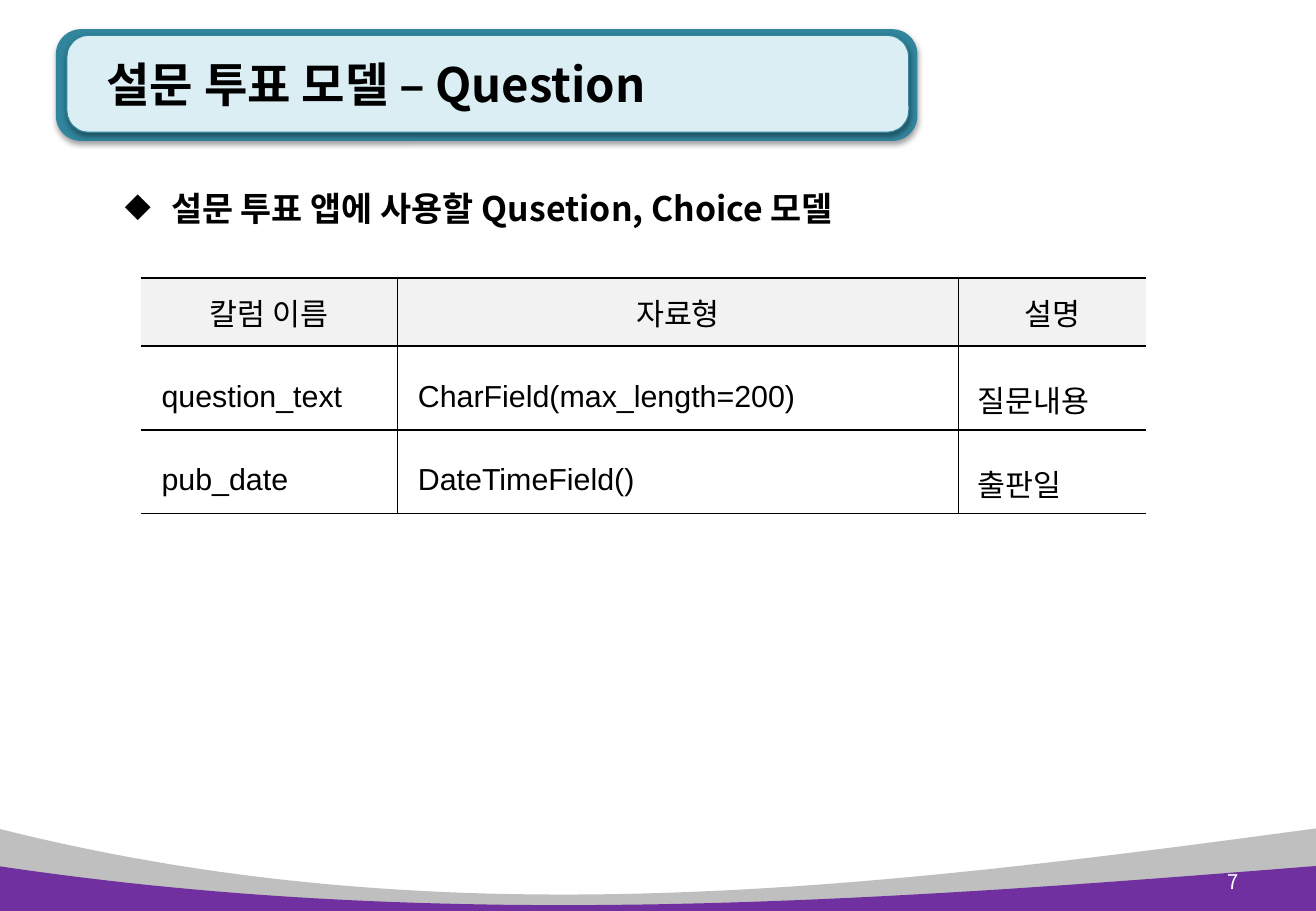
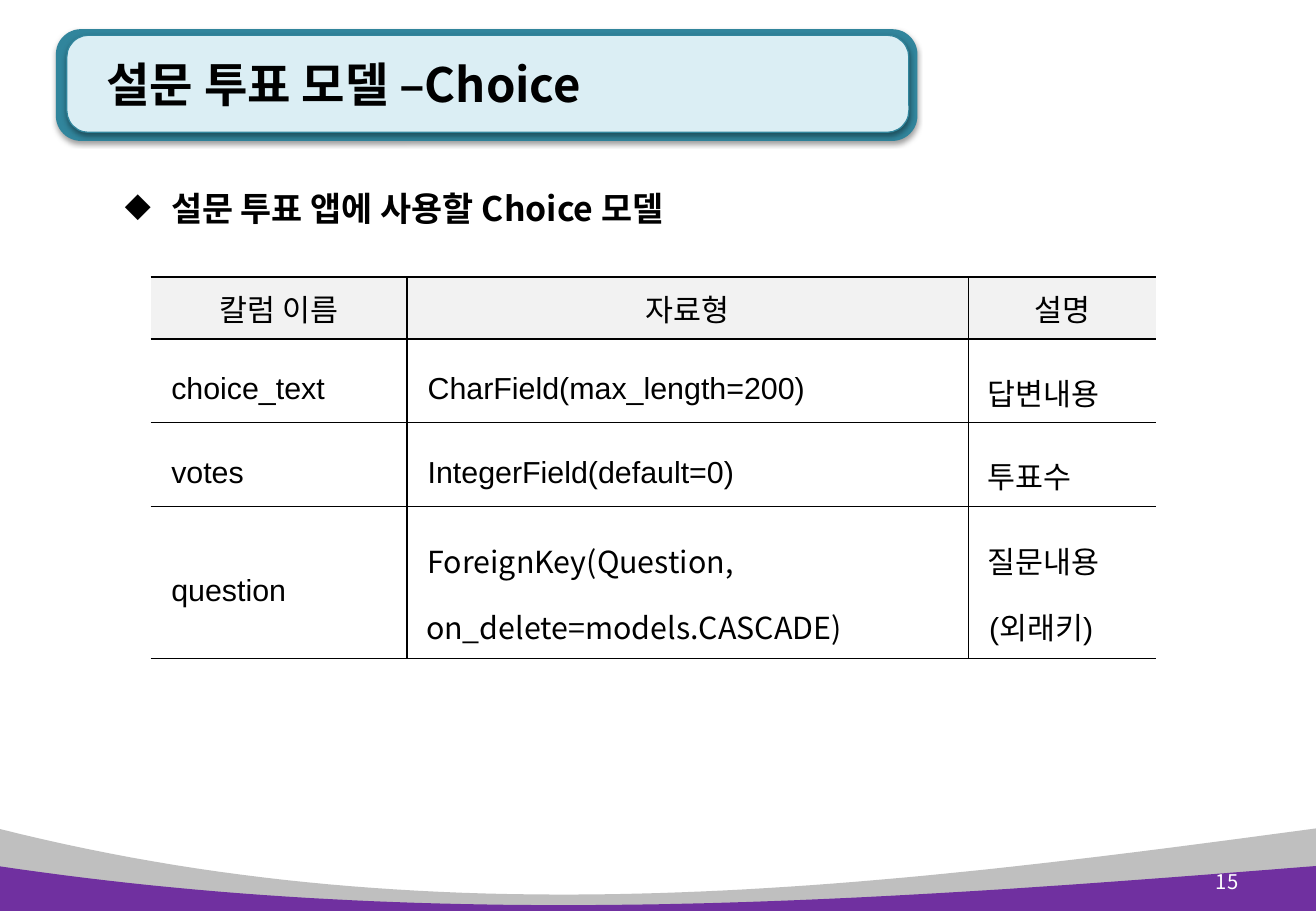
from lxml import etree
from pptx import Presentation
from pptx.dml.color import RGBColor
from pptx.enum.shapes import MSO_SHAPE, PP_PLACEHOLDER
from pptx.enum.text import MSO_ANCHOR, MSO_AUTO_SIZE, PP_ALIGN
from pptx.oxml.ns import qn
from pptx.util import Inches, Pt

ROUNDED, RECTANGLE = MSO_SHAPE.ROUNDED_RECTANGLE, MSO_SHAPE.RECTANGLE
TITLE = PP_PLACEHOLDER.TITLE
TOP, MIDDLE = MSO_ANCHOR.TOP, MSO_ANCHOR.MIDDLE
LEFT, CENTER, RIGHT = PP_ALIGN.LEFT, PP_ALIGN.CENTER, PP_ALIGN.RIGHT
NO_FIT, GROW = MSO_AUTO_SIZE.NONE, MSO_AUTO_SIZE.SHAPE_TO_FIT_TEXT

COLORS = {
    "text": "000000",
    "page": "FFFFFF",
    "teal": "31859C",
    "pale_teal": "DBEEF4",
    "grey_wave": "BFBFBF",
    "purple_wave": "7030A0",
    "header": "F2F2F2",
}
SANS, ARIAL = "Noto Sans CJK KR", "Arial"
HEADINGS = ("칼럼 이름", "자료형", "설명")
COLUMN_WIDTHS = (2.11, 4.62, 1.54)


def rgb(name):
    """Return the palette colour with this name."""
    return RGBColor.from_string(COLORS[name])


def add_run(paragraph, text, size, font=SANS, color="text", bold=False):
    """Add one formatted run with its Latin and East Asian fonts."""
    run = paragraph.add_run()
    run.text = text
    run.font.size = Pt(size)
    run.font.name = font
    run.font.bold = bold
    run.font.color.rgb = rgb(color)
    properties = run.font._element
    latin = properties.find(qn("a:latin"))
    east_asian = etree.Element(qn("a:ea"), typeface=SANS)
    latin.addnext(east_asian)


def add_shadow(shape):
    """Give a shape a soft shadow that falls straight down."""
    shape.shadow.inherit = False
    effects = shape.element.spPr.find(qn("a:effectLst"))
    shadow = etree.SubElement(effects, qn("a:outerShdw"), blurRad=str(Pt(3.1)),
                              dist=str(Pt(1.6)), dir="5400000", rotWithShape="0")
    color = etree.SubElement(shadow, qn("a:srgbClr"), val=COLORS["text"])
    etree.SubElement(color, qn("a:alpha"), val="38000")


def add_wave(shapes, curve, bottom, color, steps=60):
    """Draw a filled band whose top edge follows a cubic curve."""
    points = []
    for step in range(steps + 1):
        t = step / steps
        weights = ((1 - t) ** 3, 3 * t * (1 - t) ** 2, 3 * t * t * (1 - t), t ** 3)
        points.append(tuple(Inches(sum(w * p[axis] for w, p in zip(weights, curve)))
                            for axis in (0, 1)))
    points += [(Inches(x), Inches(bottom)) for x in (curve[-1][0], curve[0][0])]
    builder = shapes.build_freeform(*points[0], scale=1.0)
    builder.add_line_segments(points[1:], close=True)
    wave = builder.convert_to_shape()
    wave.shadow.inherit = False
    wave.fill.solid()
    wave.fill.fore_color.rgb = rgb(color)
    wave.line.fill.background()
    return wave


def add_title_plate(shapes, box, fill, outline=None):
    """Draw one rounded plate of the title frame."""
    plate = shapes.add_shape(ROUNDED, *map(Inches, box))
    plate.adjustments[0] = 0.225
    plate.fill.solid()
    plate.fill.fore_color.rgb = rgb(fill)
    if outline:
        plate.line.color.rgb = rgb(outline)
        plate.line.width = Pt(0.75)
    else:
        plate.line.fill.background()
    add_shadow(plate)
    return plate


def decorate_layout(layout, slide):
    """Draw the shared frame and waves, then move them to the layout."""
    for placeholder in list(layout.placeholders):
        if placeholder.placeholder_format.type != TITLE:
            placeholder.element.getparent().remove(placeholder.element)
    shapes = slide.shapes
    decoration = (
        add_wave(shapes, ((-0.02, 6.82), (3.65, 7.75), (7.2, 7.31), (10.83, 6.82)),
                 7.5, "grey_wave"),
        add_title_plate(shapes, (0.46, 0.24, 7.09, 0.92), "teal"),
        add_title_plate(shapes, (0.55, 0.29, 6.93, 0.8), "pale_teal", "teal"),
        add_wave(shapes, ((-0.02, 7.13), (3.65, 7.68), (7.2, 7.42), (10.83, 7.13)),
                 7.53, "purple_wave"),
    )
    for part in decoration:
        layout.shapes.element.append(part.element)


def set_title(slide, text):
    """Place and fill the title placeholder."""
    title = slide.shapes.title
    title.left, title.top, title.width, title.height = map(
        Inches, (0.69, 0.22, 6.78, 0.94))
    frame = title.text_frame
    frame.auto_size = NO_FIT
    frame.vertical_anchor = MIDDLE
    paragraph = frame.paragraphs[0]
    paragraph.alignment = LEFT
    add_run(paragraph, " ", 28)
    add_run(paragraph, text, 28, bold=True)


def add_page_number(slide, number):
    """Write the page number on the purple wave."""
    box = slide.shapes.add_textbox(*map(Inches, (9.68, 7.06, 0.61, 0.4)))
    frame = box.text_frame
    frame.word_wrap = True
    frame.vertical_anchor = MIDDLE
    paragraph = frame.paragraphs[0]
    paragraph.alignment = RIGHT
    add_run(paragraph, number, 12, color="page")


def add_lead(slide, text):
    """Add the bulleted lead sentence."""
    lead = slide.shapes.add_shape(RECTANGLE, *map(Inches, (0.93, 1.33, 6.93, 0.61)))
    lead.shadow.inherit = False
    lead.fill.solid()
    lead.fill.fore_color.rgb = rgb("page")
    lead.line.fill.background()
    frame = lead.text_frame
    frame.word_wrap = True
    frame.auto_size = GROW
    frame.vertical_anchor = TOP
    paragraph = frame.paragraphs[0]
    paragraph.alignment = LEFT
    paragraph.line_spacing = 1.5
    properties = paragraph._p.get_or_add_pPr()
    properties.set("marL", str(Inches(0.38)))
    properties.set("indent", str(-Inches(0.38)))
    etree.SubElement(properties, qn("a:buChar"), char="◆")
    add_run(paragraph, text, 20, bold=True)


def set_borders(cell, visible):
    """Draw 1 pt lines on the visible sides and clear the others."""
    properties = cell._tc.get_or_add_tcPr()
    for index, side in enumerate("LRTB"):
        line = etree.Element(qn(f"a:ln{side}"), w=str(Pt(1)))
        if side in visible:
            fill = etree.SubElement(line, qn("a:solidFill"))
            etree.SubElement(fill, qn("a:srgbClr"), val=COLORS["text"])
        else:
            etree.SubElement(line, qn("a:noFill"))
        properties.insert(index, line)


def fill_cell(cell, lines, alignment, spacing=None):
    """Write the lines of a cell, each a list of text and font pairs."""
    cell.vertical_anchor = MIDDLE
    frame = cell.text_frame
    for index, runs in enumerate(lines):
        paragraph = frame.add_paragraph() if index else frame.paragraphs[0]
        paragraph.alignment = alignment
        if spacing:
            paragraph.line_spacing = spacing
        for text, font in runs:
            add_run(paragraph, text, 18, font)


def arial(*lines):
    """Return cell lines set in Arial after a leading space."""
    return [[(f" {line}", ARIAL)] for line in lines]


def add_model_table(slide, left, top, heights, fields):
    """Add the table of model columns, types and descriptions."""
    size = (sum(COLUMN_WIDTHS), sum(heights))
    table = slide.shapes.add_table(len(heights), len(COLUMN_WIDTHS),
                                   *map(Inches, (left, top, *size))).table
    table.first_row = table.horz_banding = False
    for column, width in zip(table.columns, COLUMN_WIDTHS):
        column.width = Inches(width)
    for row, height in zip(table.rows, heights):
        row.height = Inches(height)
    headings = [[[(heading, SANS)]] for heading in HEADINGS]
    for row_index, contents in enumerate([headings, *fields]):
        for column_index, lines in enumerate(contents):
            cell = table.cell(row_index, column_index)
            if row_index:
                cell.fill.background()
                fill_cell(cell, lines, LEFT, 1.5)
            else:
                cell.fill.solid()
                cell.fill.fore_color.rgb = rgb("header")
                fill_cell(cell, lines, CENTER)
            set_borders(cell, ("RTB", "LRTB", "LTB")[column_index])


def main():
    """Build the two model slides and save them."""
    deck = Presentation()
    deck.slide_width, deck.slide_height = Inches(10.83), Inches(7.5)
    layout = deck.slide_layouts[5]

    question = deck.slides.add_slide(layout)
    decorate_layout(layout, question)
    set_title(question, "설문 투표 모델 – Question")
    add_page_number(question, "7")
    add_lead(question, "설문 투표 앱에 사용할 Qusetion, Choice 모델")
    add_model_table(question, 1.16, 2.29, (0.56, 0.69, 0.69), [
        (arial("question_text"), arial("CharField(max_length=200)"), arial("질문내용")),
        (arial("pub_date"), arial("DateTimeField()"), arial("출판일")),
    ])

    choice = deck.slides.add_slide(layout)
    set_title(choice, "설문 투표 모델 –Choice")
    add_page_number(choice, "15")
    add_lead(choice, "설문 투표 앱에 사용할 Choice 모델")
    foreign_key = [[(" ", ARIAL), ("ForeignKey(Question,", SANS)],
                   [(" on_delete=models.CASCADE)", SANS)]]
    add_model_table(choice, 1.24, 2.28, (0.51, 0.69, 0.69, 1.25), [
        (arial("choice_text"), arial("CharField(max_length=200)"), arial("답변내용")),
        (arial("votes"), arial("IntegerField(default=0)"), arial("투표수")),
        (arial("question"), foreign_key, arial("질문내용", "(외래키)")),
    ])

    deck.save("out.pptx")


main()
